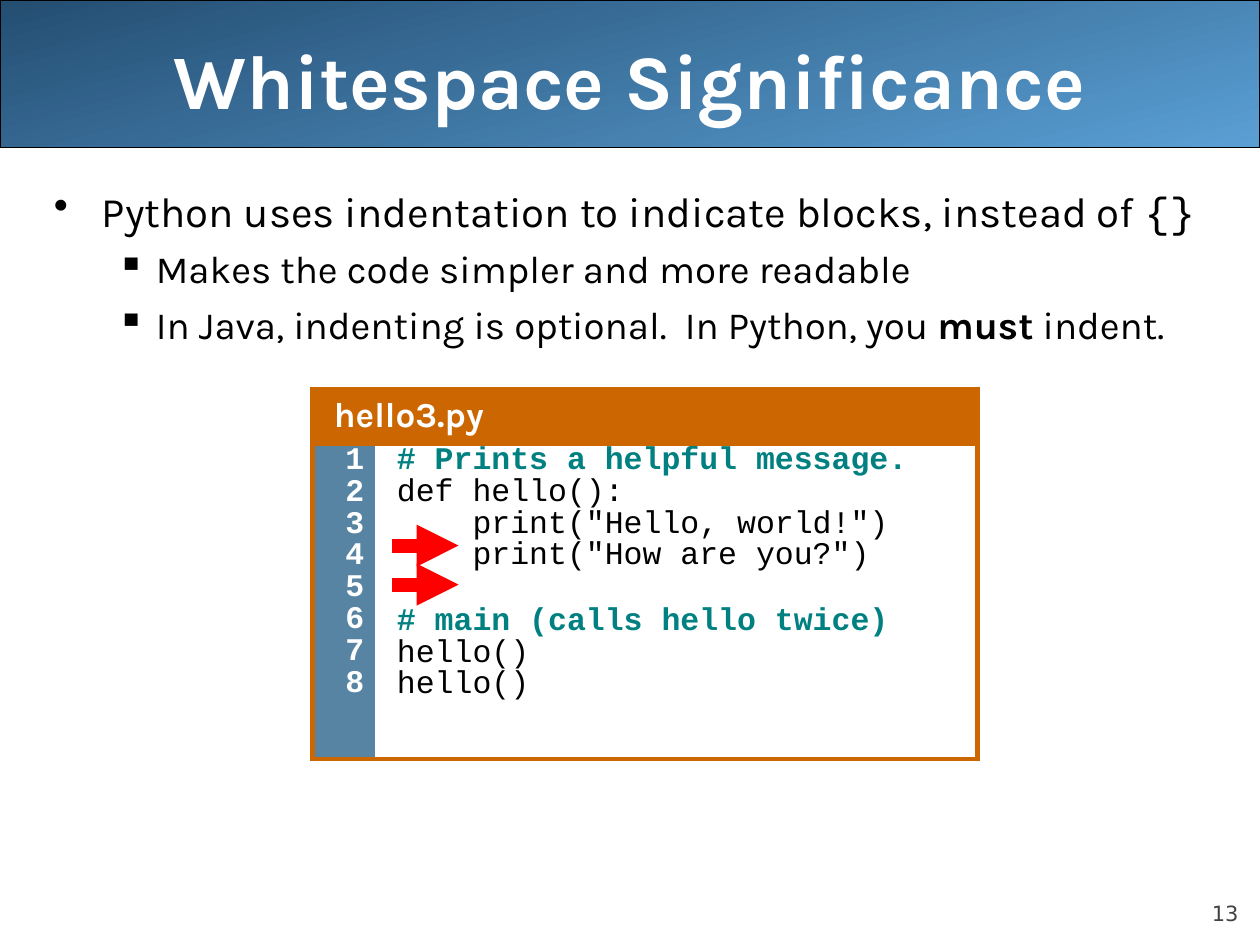
from dataclasses import dataclass

from lxml import etree
from pptx import Presentation
from pptx.dml.color import RGBColor
from pptx.enum import shapes, text
from pptx.oxml.ns import qn
from pptx.util import Inches, Pt


@dataclass(frozen=True)
class Theme:
    sans: str = "Karla"
    mono: str = "Courier New"
    number_font: str = "DejaVu Sans"
    black: str = "000000"
    white: str = "FFFFFF"
    grey: str = "424242"
    navy: str = "244E72"
    sky: str = "5A9FD4"
    orange: str = "CC6600"
    gutter: str = "5784A3"
    comment: str = "008080"
    arrow: str = "FF0000"
    title: int = 44
    body: int = 24
    sub: int = 22
    file: int = 20
    code: int = 18
    number: int = 12


T = Theme()
LEFT, CENTER, RIGHT = text.PP_ALIGN.LEFT, text.PP_ALIGN.CENTER, text.PP_ALIGN.RIGHT


def add_text(tf, *runs, size, font=T.sans, color=T.black, bold=False, align=LEFT,
             before=0, spacing=None, level=0, indent=0, hang=0, bullet=None):
    first = len(tf.paragraphs) == 1 and not tf.paragraphs[0].runs
    p = tf.paragraphs[0] if first else tf.add_paragraph()
    p.alignment, p.level = align, level
    p.space_before = Pt(0 if first else before)
    if spacing:
        p.line_spacing = spacing
    pPr = p._p.get_or_add_pPr()
    pPr.set("marL", str(Inches(indent)))
    pPr.set("indent", str(-Inches(hang)))
    if bullet:
        etree.SubElement(pPr, qn("a:buChar"), char=bullet)
    for run in runs:
        words, change = run if isinstance(run, tuple) else (run, {})
        if not words:
            etree.SubElement(p._p, qn("a:endParaRPr"), sz=str(size * 100))
            continue
        r = p.add_run()
        r.text = words
        r.font.size = Pt(size)
        r.font.name = change.get("font", font)
        r.font.bold = change.get("bold", bold)
        r.font.color.rgb = RGBColor.from_string(color)


def add_box(left, top, width, height, anchor=text.MSO_ANCHOR.TOP):
    tf = s.shapes.add_textbox(Inches(left), Inches(top), Inches(width), Inches(height)).text_frame
    tf.word_wrap = True
    tf.vertical_anchor = anchor
    return tf


prs = Presentation()
prs.slide_width, prs.slide_height = Inches(10), Inches(7.5)
s = prs.slides.add_slide(prs.slide_layouts[6])

banner = s.shapes.add_shape(shapes.MSO_SHAPE.ROUNDED_RECTANGLE, 0, 0, Inches(10), Inches(1.17))
banner.adjustments[0] = 0
banner.shadow.inherit = False
banner.fill.gradient()
banner.fill.gradient_angle = 285
for stop, position, color in zip(banner.fill.gradient_stops, (0, 1), (T.navy, T.sky)):
    stop.position = position
    stop.color.rgb = RGBColor.from_string(color)
banner.line.color.rgb = RGBColor.from_string(T.black)
banner.line.width = Pt(0.75)

tf = add_box(9, 6.95, 0.83, 0.4, text.MSO_ANCHOR.BOTTOM)
tf.margin_left = tf.margin_top = tf.margin_right = tf.margin_bottom = 0
add_text(tf, "13", size=T.number, font=T.number_font, color=T.grey, align=RIGHT)

tf = add_box(0.5, 0, 9, 1.25, text.MSO_ANCHOR.MIDDLE)
add_text(tf, "Whitespace Significance", size=T.title, color=T.white, bold=True, align=CENTER)

tf = add_box(0.33, 1.42, 9.5, 5.42)
add_text(tf, "Python uses indentation to indicate blocks, instead of ", ("{}", {"font": T.mono}),
         size=T.body, indent=0.38, hang=0.38, bullet="•")
for runs in (["Makes the code simpler and more readable"],
             ["In Java, indenting is optional.  In Python, you ", ("must", {"bold": True}), " indent."]):
    add_text(tf, *runs, size=T.sub, before=5.5, level=1, indent=0.81, hang=0.31, bullet="▪")

frame = s.shapes.add_table(2, 2, Inches(2.48), Inches(3.09), Inches(5.28), Inches(2.92))
table = frame.table
table.first_row = table.horz_banding = False
for column, width in zip(table.columns, (0.5, 4.78)):
    column.width = Inches(width)
for row, height in zip(table.rows, (0.42, 2.5)):
    row.height = Inches(height)
table.cell(0, 0).merge(table.cell(0, 1))

cells = [
    (0, 0, T.orange, 0.05, "LRTB"),
    (0, 1, T.orange, 0.05, "LRTB"),
    (1, 0, T.gutter, 0.09, "LTB"),
    (1, 1, T.white, 0.18, "RTB"),
]
for row, col, fill, right, sides in cells:
    cell = table.cell(row, col)
    cell.margin_left = cell.margin_top = cell.margin_bottom = Inches(0.05)
    cell.margin_right = Inches(right)
    tcPr = cell._tc.get_or_add_tcPr()
    for side in "LRTB":
        ln = etree.SubElement(tcPr, qn(f"a:ln{side}"), w=str(Pt(3) if side in sides else 0))
        if side in sides:
            solid = etree.SubElement(ln, qn("a:solidFill"))
            etree.SubElement(solid, qn("a:srgbClr"), val=T.orange)
        else:
            etree.SubElement(ln, qn("a:noFill"))
    cell.fill.solid()
    cell.fill.fore_color.rgb = RGBColor.from_string(fill)

add_text(table.cell(0, 0).text_frame, "hello3.py", size=T.file, color=T.white, bold=True, indent=0.12)

code = """# Prints a helpful message.
def hello():
    print("Hello, world!")
    print("How are you?")

# main (calls hello twice)
hello()
hello()"""
layout = dict(size=T.code, font=T.mono, before=4.5, spacing=0.67, indent=0.12)
for number, line in enumerate(code.split("\n"), 1):
    is_comment = line.startswith("#")
    add_text(table.cell(1, 0).text_frame, str(number), color=T.white, bold=True, align=RIGHT, **layout)
    add_text(table.cell(1, 1).text_frame, line, color=T.comment if is_comment else T.black,
             bold=is_comment, **layout)

for y in (4.33, 4.64):
    arrow = s.shapes.add_connector(shapes.MSO_CONNECTOR.STRAIGHT, Inches(3.11), Inches(y),
                                   Inches(3.64), Inches(y))
    arrow.line.color.rgb = RGBColor.from_string(T.arrow)
    arrow.line.width = Pt(8)
    etree.SubElement(arrow.line._get_or_add_ln(), qn("a:tailEnd"), type="triangle")
    etree.SubElement(arrow._element.spPr, qn("a:effectLst"))

prs.save("out.pptx")
